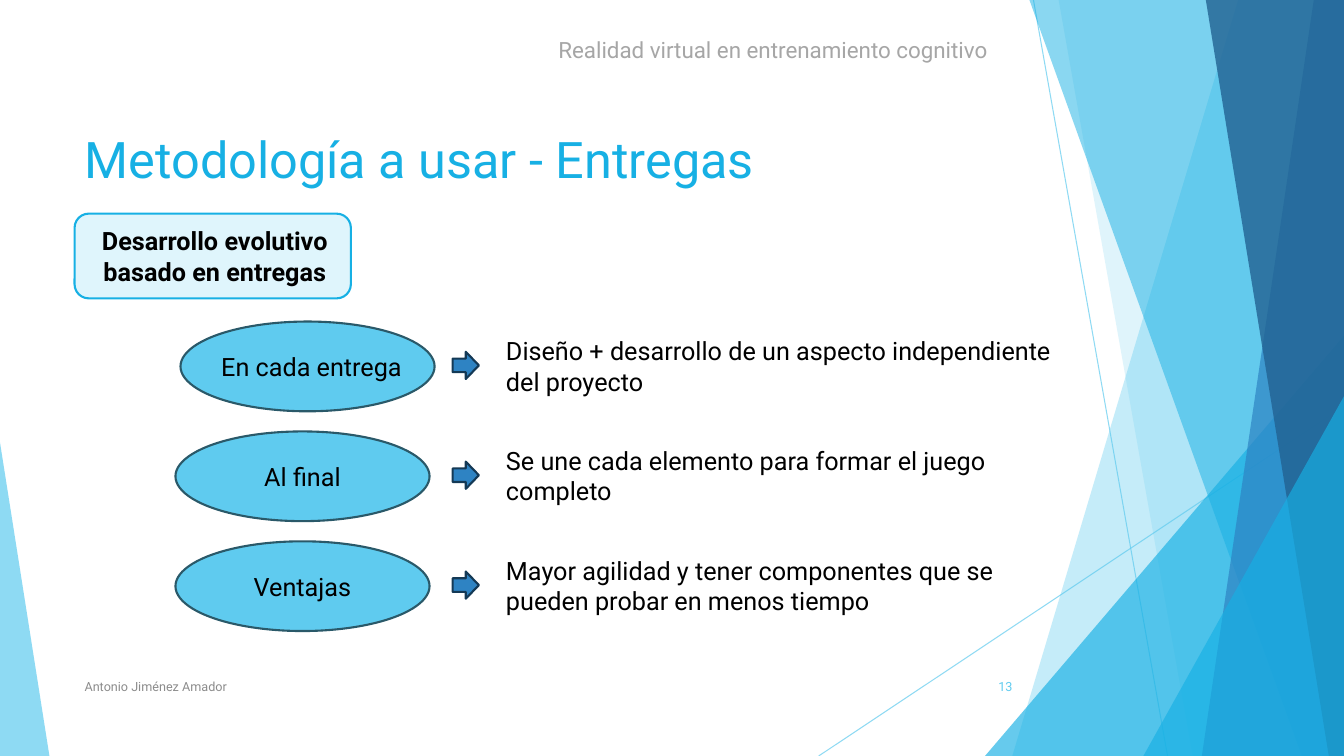
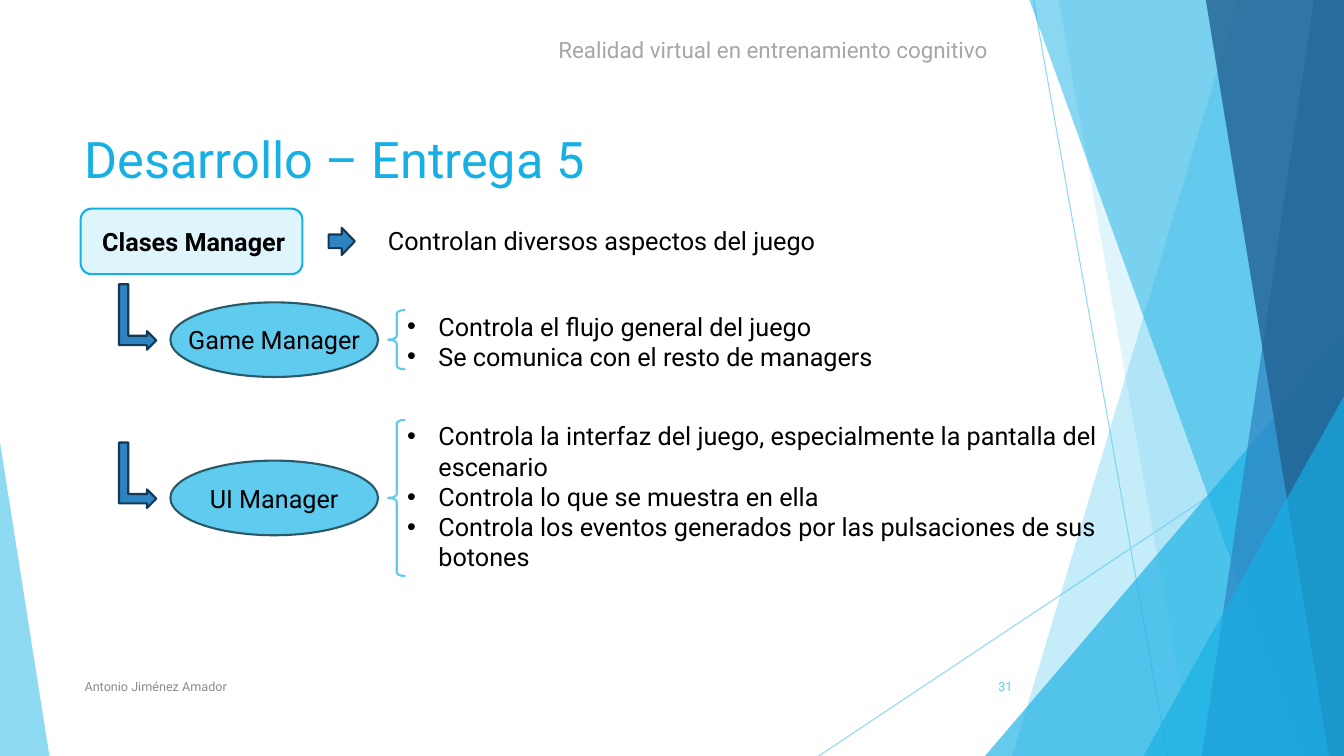
from dataclasses import dataclass
from typing import Any

from lxml import etree
from pptx import Presentation
from pptx.dml.color import RGBColor
from pptx.enum.shapes import MSO_CONNECTOR, MSO_SHAPE
from pptx.enum.text import MSO_ANCHOR, MSO_AUTO_SIZE, PP_ALIGN
from pptx.oxml.ns import qn
from pptx.util import Inches, Pt

OVAL, ROUND = MSO_SHAPE.OVAL, MSO_SHAPE.ROUNDED_RECTANGLE
ARROW, ELBOW = MSO_SHAPE.RIGHT_ARROW, MSO_SHAPE.BENT_UP_ARROW
BRACE, WEDGE = MSO_SHAPE.LEFT_BRACE, MSO_SHAPE.ISOSCELES_TRIANGLE
STRAIGHT = MSO_CONNECTOR.STRAIGHT
TOP, MIDDLE = MSO_ANCHOR.TOP, MSO_ANCHOR.MIDDLE
LEFT, CENTER, RIGHT = PP_ALIGN.LEFT, PP_ALIGN.CENTER, PP_ALIGN.RIGHT
FIXED = MSO_AUTO_SIZE.NONE

WIDE, HIGH = 13.33, 7.5
SKY, CYAN, BLUE, NAVY = "5FCBEF", "17B0E4", "2E83C3", "226292"
FACE = "Roboto"
TITLE = {"name": FACE, "size": Pt(36), "color": CYAN}
HEAD = {"name": FACE, "size": Pt(16), "color": "A6A6A6"}
FOOT = {"name": FACE, "size": Pt(9), "color": "8C8C8C"}
PAGE = FOOT | {"color": SKY}
BODY = {"name": FACE, "size": Pt(18), "color": "000000"}
BOLD = BODY | {"bold": True}


@dataclass(frozen=True)
class Box:
    x: float
    y: float
    w: float
    h: float

    def lengths(self) -> list[int]:
        return [Inches(v) for v in (self.x, self.y, self.w, self.h)]


@dataclass(frozen=True)
class Look:
    fill: str | None
    line: str | None = None
    alpha: int = 100


@dataclass(frozen=True)
class Band:
    top: float
    foot: float
    end: float
    look: Look


@dataclass(frozen=True)
class Wedge:
    box: Box
    tip: float
    look: Look


@dataclass(frozen=True)
class Step:
    name: str
    text: str
    x: float = 1.74
    pad: float = 0


@dataclass(frozen=True)
class Group:
    name: str
    mid: float
    wide: float
    brace: float
    items: tuple[str, ...]


CARD = Look("DFF5FC", CYAN)
BUBBLE = Look(SKY, "2A5969")
POINT = Look(BLUE, "143955")
HOOK = Look(None, SKY)

RAYS = [(10.25, 0, 11.58, HIGH), (WIDE, 4.03, 8.12, HIGH)]
BACK = [
    Band(12.28, 10.04, WIDE, Look(SKY, alpha=36)),
    Band(10.5, 11.83, WIDE, Look(SKY, alpha=20)),
    Wedge(Box(9.77, 3.33, 3.56, 4.17), 1, Look(CYAN, alpha=66)),
    Band(10.21, 12.91, WIDE, Look(CYAN, alpha=50)),
    Band(13.03, 11.92, WIDE, Look(BLUE, alpha=70)),
    Band(11.96, 13.18, WIDE, Look(NAVY, alpha=80)),
    Wedge(Box(11.34, 3.93, 1.99, 3.57), 1, Look(CYAN, alpha=66)),
    Wedge(Box(0, 4.39, 0.49, 3.11), 0, Look(SKY, alpha=70)),
]
STEPS = [
    Step("En cada entrega", "Diseño + desarrollo de un aspecto independiente del proyecto", 1.79, 0.08),
    Step("Al final", "Se une cada elemento para formar el juego completo"),
    Step("Ventajas", "Mayor agilidad y tener componentes que se pueden probar en menos tiempo"),
]
GROUPS = [
    Group("Game Manager", 3.37, 5.06, 0.59, (
        "Controla el flujo general del juego",
        "Se comunica con el resto de managers",
    )),
    Group("UI Manager", 4.94, 7.12, 1.55, (
        "Controla la interfaz del juego, especialmente la pantalla del escenario",
        "Controla lo que se muestra en ella",
        "Controla los eventos generados por las pulsaciones de sus botones",
    )),
]


def tint(code: str) -> RGBColor:
    return RGBColor.from_string(code)


def style(font: Any, look: dict[str, Any]) -> None:
    for key, value in look.items():
        if key == "color":
            font.color.rgb = tint(value)
        else:
            setattr(font, key, value)


def fade(shape: Any, alpha: int) -> None:
    if alpha < 100:
        for node in shape._element.spPr.iter(qn("a:srgbClr")):
            etree.SubElement(node, qn("a:alpha"), val=str(alpha * 1000))


def paint(shape: Any, look: Look) -> None:
    shape.shadow.inherit = False
    if look.fill:
        shape.fill.solid()
        shape.fill.fore_color.rgb = tint(look.fill)
    else:
        shape.fill.background()
    if look.line:
        shape.line.color.rgb = tint(look.line)
        shape.line.width = Pt(1.5)
    else:
        shape.line.fill.background()
    fade(shape, look.alpha)


def bullet(para: Any) -> None:
    props = para._p.get_or_add_pPr()
    props.set("marL", str(Inches(0.31)))
    props.set("indent", str(-Inches(0.31)))
    etree.SubElement(props, qn("a:buFont"), typeface="Arial")
    etree.SubElement(props, qn("a:buChar"), char="•")


def write(shape: Any, lines: tuple[str, ...], look: dict[str, Any], align: Any = LEFT,
          anchor: Any = TOP, dots: bool = False, wrap: bool = True) -> None:
    frame = shape.text_frame
    frame.auto_size = FIXED
    frame.word_wrap = wrap
    frame.vertical_anchor = anchor
    for i, line in enumerate(lines):
        para = frame.add_paragraph() if i else frame.paragraphs[0]
        para.alignment = align
        if dots:
            bullet(para)
        run = para.add_run()
        run.text = line
        style(run.font, look)


def label(slide: Any, box: Box, lines: tuple[str, ...], look: dict[str, Any] = BODY,
          align: Any = LEFT, anchor: Any = TOP, dots: bool = False) -> None:
    write(slide.shapes.add_textbox(*box.lengths()), lines, look, align, anchor, dots)


def draw(slide: Any, kind: Any, box: Box, look: Look, bends: tuple[float, ...] = ()) -> Any:
    shape = slide.shapes.add_shape(kind, *box.lengths())
    for i, bend in enumerate(bends):
        shape.adjustments[i] = bend
    paint(shape, look)
    return shape


def card(slide: Any, box: Box, text: str) -> None:
    shape = draw(slide, ROUND, box, CARD)
    write(shape, (text,), BOLD, CENTER, MIDDLE)
    shape.text_frame.margin_left = Inches(0.14)


def bubble(slide: Any, box: Box, text: str, pad: float = 0) -> None:
    shape = draw(slide, OVAL, box, BUBBLE)
    write(shape, (text,), BODY, CENTER, MIDDLE, wrap=False)
    shape.text_frame.margin_left = Inches(pad)
    shape.text_frame.margin_right = 0


def arrow(slide: Any, x: float, y: float) -> None:
    draw(slide, ARROW, Box(x, y, 0.26, 0.27), POINT)


def ray(slide: Any, ends: tuple[float, ...]) -> None:
    line = slide.shapes.add_connector(STRAIGHT, *map(Inches, ends))
    line.line.color.rgb = tint(SKY)
    line.line.width = Pt(0.75)
    fade(line, 70)
    etree.SubElement(line._element.spPr, qn("a:effectLst"))


def band(slide: Any, part: Band) -> None:
    spots = [(part.end, 0), (part.end, HIGH), (part.foot, HIGH)]
    pen = slide.shapes.build_freeform(Inches(part.top), 0)
    pen.add_line_segments([(Inches(x), Inches(y)) for x, y in spots])
    paint(pen.convert_to_shape(), part.look)


def share(layout: Any, slide: Any) -> None:
    for holder in list(layout.placeholders):
        if holder.placeholder_format.idx:
            holder._element.getparent().remove(holder._element)
    for ends in RAYS:
        ray(slide, ends)
    for part in BACK:
        if isinstance(part, Band):
            band(slide, part)
        else:
            draw(slide, WEDGE, part.box, part.look, (part.tip,))
    label(slide, Box(0.74, 6.61, 6.89, 0.4), ("Antonio Jiménez Amador",), FOOT, anchor=MIDDLE)
    label(slide, Box(5.44, 0.31, 5.34, 0.37), ("Realidad virtual en entrenamiento cognitivo",), HEAD)
    for shape in list(slide.shapes):
        if not shape.is_placeholder:
            layout.shapes._spTree.append(shape._element)


def start(slide: Any, title: str, page: str) -> None:
    head = slide.shapes.title
    head.left, head.top, head.width, head.height = Box(0.74, 1.22, 9.4, 0.89).lengths()
    write(head, (title,), TITLE)
    label(slide, Box(9.39, 6.61, 0.75, 0.4), (page,), PAGE, RIGHT, MIDDLE)


def method(slide: Any) -> None:
    start(slide, "Metodología a usar - Entregas", "13")
    card(slide, Box(0.74, 2.12, 2.74, 0.84), "Desarrollo evolutivo basado en entregas")
    for i, step in enumerate(STEPS):
        y = 3.19 + 1.09 * i
        bubble(slide, Box(step.x, y, 2.52, 0.89), step.name, step.pad)
        arrow(slide, 4.49, y + 0.3)
        label(slide, Box(4.92, y + 0.09, 5.79, 0.71), (step.text,))


def classes(slide: Any) -> None:
    start(slide, "Desarrollo – Entrega 5", "31")
    card(slide, Box(0.8, 2.07, 2.2, 0.65), "Clases Manager")
    arrow(slide, 3.26, 2.26)
    label(slide, Box(3.75, 2.19, 4.53, 0.4), ("Controlan diversos aspectos del juego",))
    for group in GROUPS:
        elbow = draw(slide, ELBOW, Box(1.04, group.mid - 0.41, 0.65, 0.37), POINT)
        elbow.rotation = 90
        bubble(slide, Box(1.69, group.mid - 0.37, 2.06, 0.74), group.name)
        top = group.mid - group.brace / 2
        draw(slide, BRACE, Box(3.85, top, 0.17, group.brace), HOOK, (0.21, 0.5))
        label(slide, Box(3.94, top - 0.04, group.wide, group.brace + 0.1), group.items, dots=True)


def main() -> None:
    deck = Presentation()
    deck.slide_width, deck.slide_height = Inches(WIDE), Inches(HIGH)
    layout = deck.slide_layouts[5]
    first = deck.slides.add_slide(layout)
    share(layout, first)
    method(first)
    classes(deck.slides.add_slide(layout))
    deck.save("out.pptx")


if __name__ == "__main__":
    main()
